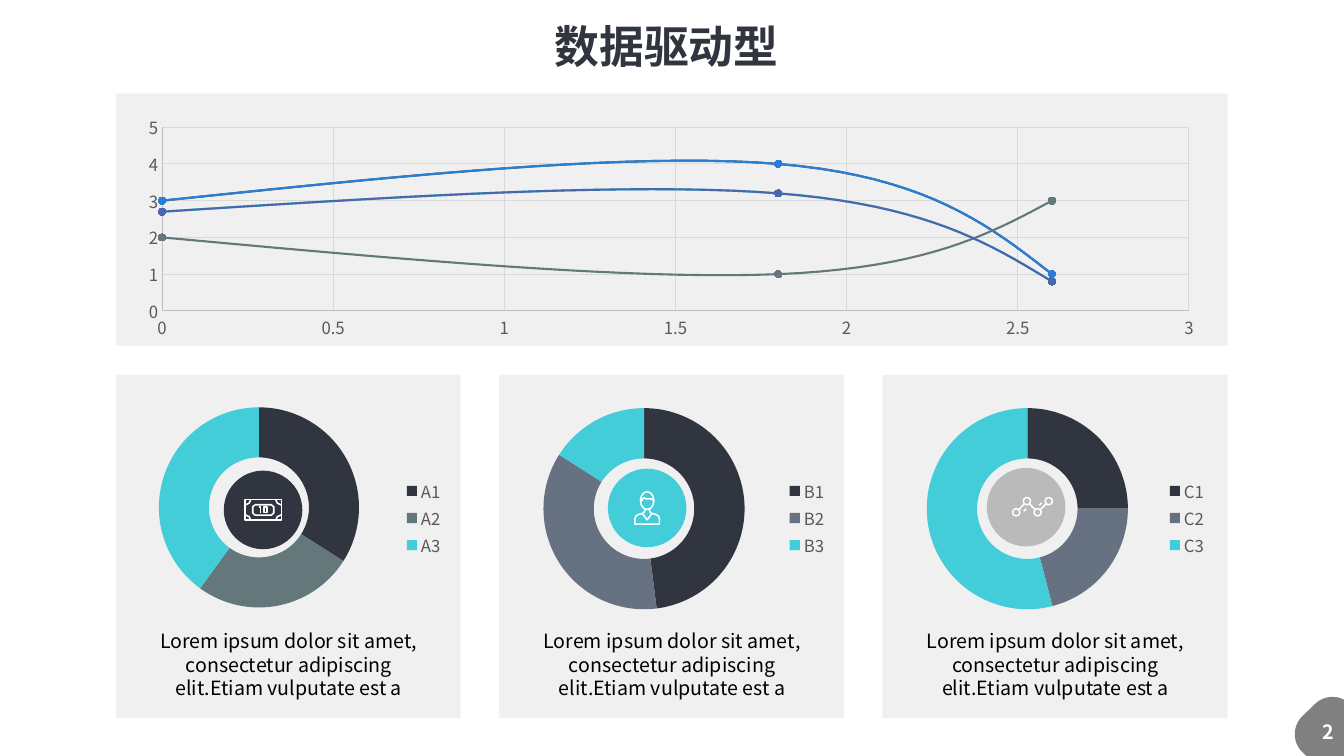
from math import cos, radians, sin
from lxml import etree
from pptx import Presentation
from pptx import util as u
from pptx.chart import data
from pptx.dml.color import RGBColor
from pptx.enum import chart as charts, shapes, text
from pptx.oxml import ns

INK = RGBColor(0x30, 0x35, 0x3F)
TEAL = RGBColor(0x43, 0xCD, 0xD9)
SLATE = RGBColor(0x66, 0x71, 0x81)
SAGE = RGBColor(0x64, 0x77, 0x7B)
INDIGO = RGBColor(0x4A, 0x66, 0xAC)
BLUE = RGBColor(0x29, 0x7F, 0xD5)
NAVY = RGBColor(0x34, 0x43, 0x57)
PANEL = RGBColor(0xCF, 0xCF, 0xCF)
SILVER = RGBColor(0xBA, 0xBA, 0xBA)
GRAY = RGBColor(0x80, 0x80, 0x80)
LABEL = RGBColor(0x59, 0x59, 0x59)
AXIS = RGBColor(0xBF, 0xBF, 0xBF)
GRID = RGBColor(0xD9, 0xD9, 0xD9)
WHITE = RGBColor(0xFF, 0xFF, 0xFF)
BLACK = RGBColor(0, 0, 0)
FONT = "Noto Sans CJK SC"
LOREM = "Lorem ipsum dolor sit amet, consectetur adipiscing elit.Etiam vulputate est a"


def write(frame, words, size, color, bold=False, align=None, wrap=True, inset=None):
    frame.word_wrap = wrap
    frame.auto_size = text.MSO_AUTO_SIZE.NONE
    frame.vertical_anchor = text.MSO_ANCHOR.TOP
    if inset is not None:
        frame.margin_left = frame.margin_right = u.Cm(inset)
        frame.margin_top = frame.margin_bottom = u.Cm(inset)
    para = frame.paragraphs[0]
    para.alignment = align
    para.line_spacing = 1.0
    span = para.add_run()
    span.text = words
    style_font(span.font, size, color)
    span.font.bold = bold
    etree.SubElement(span.font._element, ns.qn("a:ea"), typeface=FONT)


def style_font(font, size, color):
    font.name = FONT
    font.size = u.Pt(size)
    font.color.rgb = color


def style_line(line, color, width):
    line.color.rgb = color
    line.width = u.Pt(width)


def arc(x, y, radius, start, end):
    return [(x + radius * cos(radians(a)), y + radius * sin(radians(a)))
            for a in range(start, end + 1, 6)]


def place(node, values, inner=False):
    for old in node.findall(ns.qn("c:layout")):
        node.remove(old)
    layout = etree.Element(ns.qn("c:layout"))
    node.insert(0 if inner else 1, layout)
    manual = etree.SubElement(layout, ns.qn("c:manualLayout"))
    settings = [("layoutTarget", "inner")] if inner else []
    settings += [("xMode", "edge"), ("yMode", "edge"), *zip("xywh", values)]
    for tag, value in settings:
        etree.SubElement(manual, ns.qn("c:" + tag), val=str(value))


class Board:
    def __init__(self, deck):
        self.page = deck.slides.add_slide(deck.slide_layouts[5])
        self.items = self.page.shapes

    def paint(self, shape, fill=None, line=None, alpha=None):
        shape.shadow.inherit = False
        if fill is None:
            shape.fill.background()
        else:
            shape.fill.solid()
            shape.fill.fore_color.rgb = fill
        if line is None:
            shape.line.fill.background()
        else:
            style_line(shape.line, line, 1.1)
        if alpha:
            tint = shape._element.spPr.find(".//" + ns.qn("a:srgbClr"))
            etree.SubElement(tint, ns.qn("a:alpha"), val=str(alpha * 1000))

    def title(self, words, *area):
        box = self.items.title
        box.left, box.top, box.width, box.height = map(u.Cm, area)
        write(box.text_frame, words, 32, INK, bold=True, align=text.PP_ALIGN.CENTER, wrap=False, inset=0)

    def label(self, words, *area, **style):
        box = self.items.add_textbox(*map(u.Cm, area))
        write(box.text_frame, words, **style)

    def panel(self, *area):
        self.paint(self.items.add_shape(shapes.MSO_SHAPE.RECTANGLE, *map(u.Cm, area)), PANEL, alpha=30)

    def disc(self, x, y, width, height, fill=None, line=None):
        area = map(u.Cm, (x, y, width, height))
        self.paint(self.items.add_shape(shapes.MSO_SHAPE.OVAL, *area), fill, line)

    def outline(self, points, origin=(0, 0), closed=True, fill=None, line=WHITE):
        first, *rest = [(u.Cm(x), u.Cm(y)) for x, y in points]
        builder = self.items.build_freeform(*first)
        builder.add_line_segments(rest, close=closed)
        self.paint(builder.convert_to_shape(*map(u.Cm, origin)), fill, line)

    def stroke(self, x, y, start, end):
        ends = (x + start[0], y + start[1], x + end[0], y + end[1])
        line = self.items.add_connector(shapes.MSO_CONNECTOR.STRAIGHT, *map(u.Cm, ends))
        style_line(line.line, WHITE, 1.1)
        etree.SubElement(line._element.spPr, ns.qn("a:effectLst"))

    def chart(self, kind, values, *area):
        chart = self.items.add_chart(kind, *map(u.Cm, area), values).chart
        style_font(chart.font, 10, BLACK)
        chart.has_title = False
        chart.has_legend = False
        return chart

    def curves(self, xs, series, *area):
        values = data.XyChartData()
        for number, (ys, _) in enumerate(series, 1):
            entry = values.add_series(f"Series {number}")
            for x, y in zip(xs, ys):
                entry.add_data_point(x, y)
        chart = self.chart(charts.XL_CHART_TYPE.XY_SCATTER_SMOOTH, values, *area)
        chart.plots[0].vary_by_categories = False
        for axis in (chart.category_axis, chart.value_axis):
            axis.has_major_gridlines = True
            style_line(axis.major_gridlines.format.line, GRID, 0.75)
            style_line(axis.format.line, AXIS, 0.75)
            axis.major_tick_mark = axis.minor_tick_mark = charts.XL_TICK_MARK.NONE
            style_font(axis.tick_labels.font, 12, LABEL)
        for entry, (_, color) in zip(chart.plots[0].series, series):
            entry._element.get_or_add_smooth().val = True
            style_line(entry.format.line, color, 1.5)
            entry.marker.style = charts.XL_MARKER_STYLE.CIRCLE
            entry.marker.size = 5
            entry.marker.format.fill.solid()
            entry.marker.format.fill.fore_color.rgb = color
            style_line(entry.marker.format.line, color, 0.75)

    def ring(self, names, amounts, colors, layout, legend_left, *area):
        values = data.CategoryChartData()
        values.categories = names
        values.add_series("Series 1", amounts)
        chart = self.chart(charts.XL_CHART_TYPE.DOUGHNUT, values, *area)
        chart.has_legend = True
        chart.legend.position = charts.XL_LEGEND_POSITION.RIGHT
        chart.legend.include_in_layout = False
        style_font(chart.legend.font, 12, LABEL)
        plot = chart.plots[0]
        plot.vary_by_categories = True
        plot._element.find(ns.qn("c:holeSize")).set("val", "75")
        for index, color in enumerate(colors):
            shade = plot.series[0].points[index].format
            shade.fill.solid()
            shade.fill.fore_color.rgb = color
            shade.line.fill.background()
        place(chart._chartSpace.chart.plotArea, layout, inner=True)
        place(chart.legend._element, (legend_left, 0.36, 0.14, 0.36))

    def banknote(self, x, y):
        self.outline([(0.02, 0.02), (0.95, 0.02), (0.95, 0.54), (0.02, 0.54)], (x, y))
        for right in (False, True):
            for low in (False, True):
                corner = [(0.97 - a if right else a, 0.56 - b if low else b)
                          for a, b in ((0.17, 0.02), (0.13, 0.11), (0.02, 0.16))]
                self.outline(corner, (x, y), closed=False)
        self.outline([(0.22, 0.2), (0.28, 0.15), (0.69, 0.15), (0.75, 0.2),
                      (0.75, 0.36), (0.69, 0.41), (0.28, 0.41), (0.22, 0.36)], (x, y))
        self.outline([(0.38, 0.2), (0.42, 0.2), (0.42, 0.35)], (x, y), closed=False)
        self.outline([(0.5, 0.2), (0.58, 0.2), (0.58, 0.34), (0.5, 0.34)], (x, y))

    def person(self, x, y):
        self.disc(x + 0.16, y + 0.02, 0.34, 0.45, line=WHITE)
        self.outline([(0.17, 0.27), (0.25, 0.17), (0.3, 0.2), (0.44, 0.2), (0.49, 0.24)], (x, y), closed=False)
        half = [(0.27, 0.46), (0.27, 0.52), (0.21, 0.57), (0.12, 0.59), (0.05, 0.63), (0.02, 0.7), (0.02, 0.84)]
        other = [(0.66 - a, b) for a, b in reversed(half)]
        self.outline(half + other, (x, y), closed=False)
        self.outline([(0.21, 0.57), (0.33, 0.73), (0.45, 0.57)], (x, y), closed=False)

    def trend(self, x, y):
        knots = [(0.11, 0.39), (0.38, 0.11), (0.65, 0.39), (0.93, 0.11)]
        for a, b in knots:
            self.disc(x + a - 0.09, y + b - 0.09, 0.18, 0.18, line=WHITE)
        for (a, b), (c, d) in zip(knots, knots[1:]):
            dx, dy = (c - a) / 4, (d - b) / 4
            self.stroke(x, y, (a + dx, b + dy), (c - dx, d - dy))
        for a, b in ((0.3, 0.36), (0.69, 0.21)):
            self.stroke(x, y, (a, b), (a + 0.06, b - 0.06))


def main():
    deck = Presentation()
    deck.slide_width, deck.slide_height = u.Cm(33.87), u.Cm(19.05)
    board = Board(deck)
    board.title("数据驱动型 ", 13.92, 0.46, 6.02, 1.37)
    board.panel(2.92, 2.36, 28.02, 6.35)
    low, dip, high = (2.7, 3.2, 0.8), (2, 1, 3), (3, 4, 1)
    board.curves((0, 1.8, 2.6), [(low, INDIGO), (dip, SAGE), (high, BLUE), (low, TEAL), (high, NAVY)],
                 3.2, 2.77, 27.43, 5.92)
    wide = (0.13, 0.06, 0.58, 0.88)
    cards = [
        ("A", (34, 26, 40), SAGE, (0.126, 0.061, 0.578, 0.867), 0.82, INK, (5.64, 11.86), board.banknote, (6.15, 12.57)),
        ("B", (48, 36, 16), SLATE, wide, 0.82, TEAL, (15.32, 11.81), board.person, (15.98, 12.37)),
        ("C", (25, 21, 54), SLATE, wide, 0.81, SILVER, (24.87, 11.79), board.trend, (25.5, 12.52)),
    ]
    for column, (letter, amounts, middle, layout, legend, fill, hub, icon, spot) in enumerate(cards):
        left = 2.92 + 9.66 * column
        board.panel(left, 9.45, 8.69, 8.64)
        names = [f"{letter}{number}" for number in (1, 2, 3)]
        board.ring(names, amounts, (INK, middle, TEAL), layout, legend, left - 0.02, 9.91, 8.74, 5.82)
        board.disc(*hub, 1.98, 1.98, fill=fill)
        icon(*spot)
        board.label(LOREM, left + 0.64, 15.85, 7.44, 1.8, size=14, color=BLACK,
                    align=text.PP_ALIGN.CENTER, inset=0)
    badge = arc(33.26, 18.5, 0.63, 135, 225) + arc(33.58, 18.19, 0.63, 225, 297)
    board.outline(badge + [(33.87, 19.05), (32.92, 19.05)], fill=GRAY, line=None)
    board.label("2", 33.07, 18.01, 0.81, 0.86, size=14, color=WHITE, bold=True, wrap=False)
    deck.save("out.pptx")


if __name__ == "__main__":
    main()
